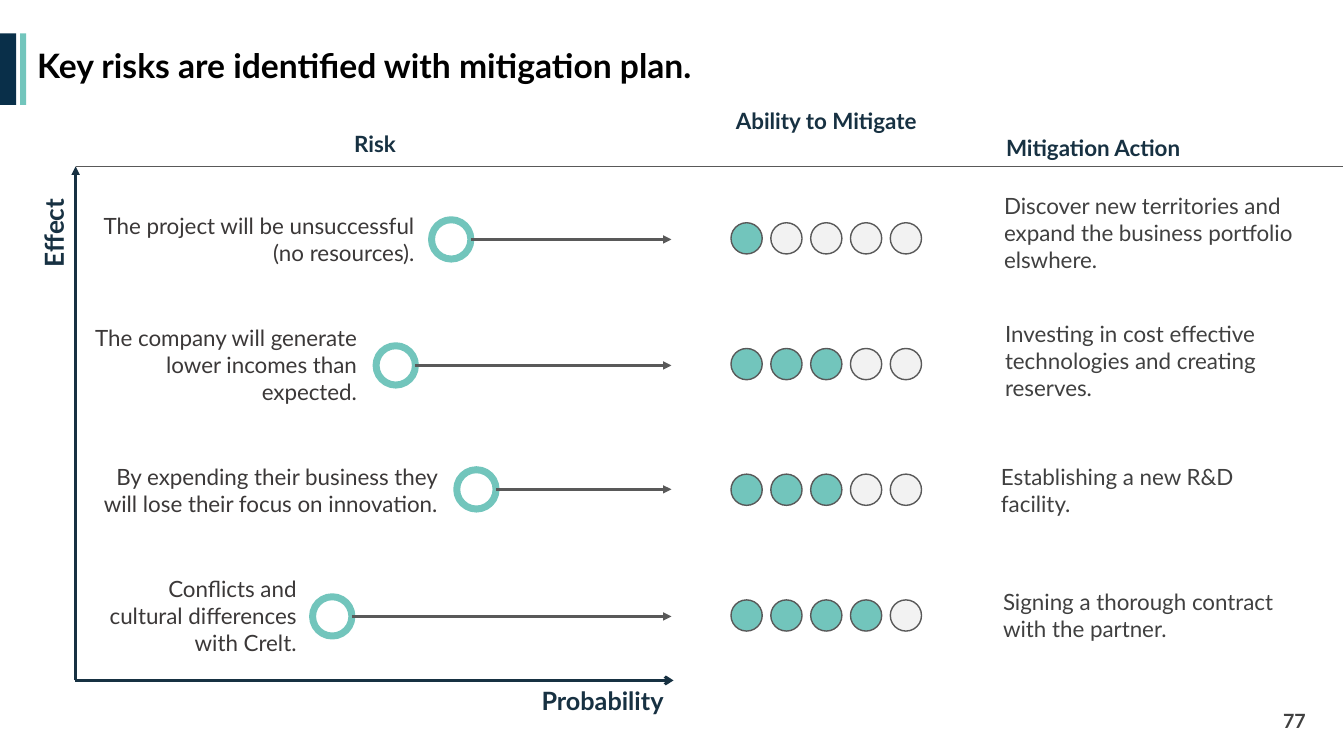
from lxml import etree
from pptx import Presentation
from pptx.dml.color import RGBColor
from pptx.enum.shapes import MSO_CONNECTOR, MSO_SHAPE
from pptx.enum.text import MSO_ANCHOR, PP_ALIGN
from pptx.oxml.ns import qn
from pptx.util import Inches, Pt

COLORS = {
    "navy": "092F49", "teal": "72C5BC", "axis": "173142", "line": "595959",
    "empty": "F2F2F2", "white": "FFFFFF", "black": "000000",
    "body": "404040", "risk": "3B3838",
}
LEFT, CENTER, RIGHT = PP_ALIGN.LEFT, PP_ALIGN.CENTER, PP_ALIGN.RIGHT

prs = Presentation()
prs.slide_width, prs.slide_height = Inches(13.33), Inches(7.5)
s = prs.slides.add_slide(prs.slide_layouts[6])


def add_text(box, lines, size, color, align=LEFT, bold=False, anchor=MSO_ANCHOR.TOP):
    """Add a wrapped text box with one paragraph per line."""
    sp = s.shapes.add_textbox(*map(Inches, box))
    tf = sp.text_frame
    tf.word_wrap = True
    tf.vertical_anchor = anchor
    for i, line in enumerate(lines):
        p = tf.paragraphs[0] if i == 0 else tf.add_paragraph()
        p.alignment = align
        r = p.add_run()
        r.text = line
        r.font.name, r.font.size, r.font.bold = "Lato", Pt(size), bold
        r.font.color.rgb = RGBColor.from_string(COLORS[color])
    return sp


def add_shape(kind, box, fill, line=None, width=1):
    sp = s.shapes.add_shape(kind, *map(Inches, box))
    sp.shadow.inherit = False
    sp.fill.solid()
    sp.fill.fore_color.rgb = RGBColor.from_string(COLORS[fill])
    if line:
        sp.line.color.rgb = RGBColor.from_string(COLORS[line])
        sp.line.width = Pt(width)
    else:
        sp.line.fill.background()


# Title and page number
add_shape(MSO_SHAPE.RECTANGLE, (0, 0.33, 0.16, 0.71), "navy")
add_shape(MSO_SHAPE.RECTANGLE, (0.2, 0.33, 0.06, 0.71), "teal")
title = add_text((0.27, 0.32, 12.77, 0.71), ["Key risks are identified with mitigation plan."],
                 24, "black", bold=True, anchor=MSO_ANCHOR.MIDDLE)
title.text_frame.paragraphs[0].line_spacing = 0.9
add_text((10.05, 6.95, 3, 0.4), ["77"], 14, "body", RIGHT, True, MSO_ANCHOR.MIDDLE)

# Axis labels and column headings
effect = add_text((0.03, 2.1, 1.01, 0.42), ["Effect"], 18.7, "axis", CENTER, True)
effect.rotation = 270
add_text((3.94, 6.75, 2.74, 0.42), ["Probability"], 18, "axis", RIGHT, True)
add_text((2.44, 1.24, 2.56, 0.37), ["Risk"], 16, "axis", CENTER, True)
add_text((7.14, 1.01, 2.11, 0.64), ["Ability to Mitigate"], 16, "axis", CENTER, True)
add_text((9.88, 1.28, 2.56, 0.37), ["Mitigation Action"], 16, "axis", LEFT, True)

# Risks: text box, lines, ring left and top, ability score, action box, action
RING, DOT, DOT_STEP, ROW_STEP, ARROW_END = 0.39, 0.31, 0.395, 1.247, 6.66
risks = [
    ((0.85, 2.06, 3.36, 0.64), ["The project will be unsuccessful", "(no resources)."],
     4.28, 2.18, 1,
     (9.86, 1.86, 3.14, 0.91),
     "Discover new territories and expand the business portfolio elswhere."),
    ((0.8, 3.17, 2.84, 0.91), ["The company will generate lower incomes than expected."],
     3.73, 3.43, 3,
     (9.87, 3.13, 3.14, 0.91),
     "Investing in cost effective technologies and creating reserves."),
    ((0.84, 4.55, 3.6, 0.64),
     ["By expending their business they will lose their focus on innovation."],
     4.53, 4.66, 3,
     (9.83, 4.55, 3.14, 0.64), "Establishing a new R&D facility."),
    ((0.79, 5.66, 2.25, 0.91), ["Conflicts and cultural differences with Crelt."],
     3.1, 5.92, 4,
     (9.85, 5.79, 3.14, 0.64), "Signing a thorough contract with the partner."),
]

# Lines: start x, start y, end x, end y, color, width, arrowhead
lines = [
    (0.74, 6.75, 6.68, 6.75, "axis", 2, "arrow"),
    (0.75, 6.75, 0.75, 1.65, "axis", 2, "triangle"),
    (0.75, 1.65, 13.32, 1.65, "line", 1, None),
]

for row, (risk_box, risk, ring_x, ring_y, score, action_box, action) in enumerate(risks):
    add_text(risk_box, risk, 16, "risk", RIGHT)
    add_shape(MSO_SHAPE.OVAL, (ring_x, ring_y, RING, RING), "white", "teal", 5)
    mid_y = ring_y + RING / 2
    lines.append((ring_x + RING, mid_y, ARROW_END, mid_y, "line", 2, "triangle"))
    for i in range(5):
        dot = (7.25 + i * DOT_STEP, 2.21 + row * ROW_STEP, DOT, DOT)
        add_shape(MSO_SHAPE.OVAL, dot, "teal" if i < score else "empty", "line")
    add_text(action_box, [action], 16, "body")

for x1, y1, x2, y2, color, width, head in lines:
    cx = s.shapes.add_connector(MSO_CONNECTOR.STRAIGHT, *map(Inches, (x1, y1, x2, y2)))
    cx.line.color.rgb = RGBColor.from_string(COLORS[color])
    cx.line.width = Pt(width)
    if head:
        etree.SubElement(cx.line._get_or_add_ln(), qn("a:tailEnd"), type=head)
    etree.SubElement(cx._element.spPr, qn("a:effectLst"))

prs.save("out.pptx")
